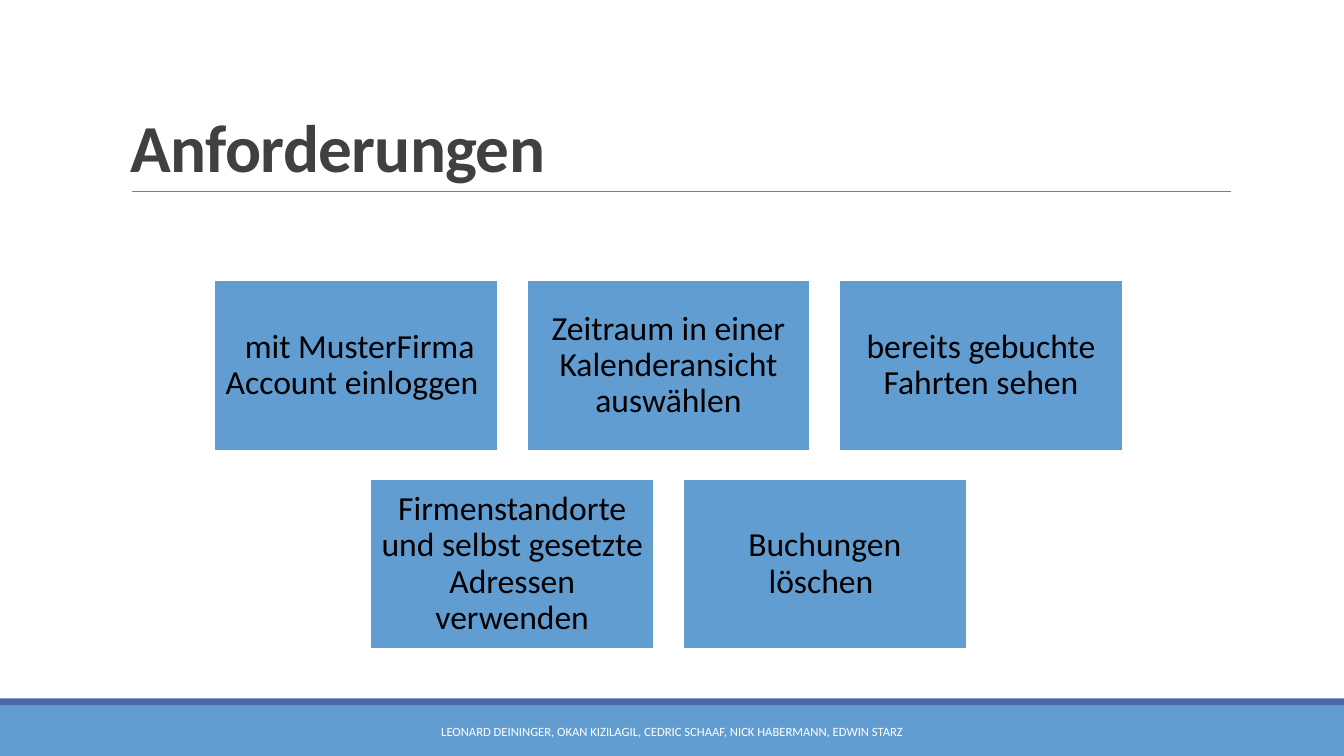
from lxml.etree import SubElement
from pptx import Presentation
from pptx.dml.color import RGBColor
from pptx.enum.shapes import MSO_CONNECTOR, MSO_SHAPE
from pptx.enum.text import MSO_ANCHOR, PP_ALIGN
from pptx.oxml.ns import qn
from pptx.util import Inches, Pt

BLUE = RGBColor(0x62, 0x9D, 0xD1)
INDIGO = RGBColor(0x4A, 0x66, 0xAC)
GRAY = RGBColor(0x80, 0x80, 0x80)
DARK = RGBColor(0x40, 0x40, 0x40)
WHITE = RGBColor(0xFF, 0xFF, 0xFF)
BLACK = RGBColor(0x00, 0x00, 0x00)

CARD_W, CARD_H = 2.81, 1.69
CARD_GAP_X, CARD_GAP_Y = 0.29, 0.28
CARDS_CENTER, CARDS_TOP = 6.63, 2.78
REQUIREMENTS = [
    [" mit MusterFirma Account einloggen ",
     "Zeitraum in einer Kalenderansicht auswählen",
     "bereits gebuchte Fahrten sehen"],
    ["Firmenstandorte und selbst gesetzte Adressen verwenden",
     "Buchungen löschen "],
]
AUTHORS = ("LEONARD DEININGER, OKAN KIZILAGIL, CEDRIC SCHAAF, "
           "NICK HABERMANN, EDWIN STARZ")


def add_rect(slide, left, top, width, height, fill):
    sp = slide.shapes.add_shape(MSO_SHAPE.RECTANGLE, Inches(left), Inches(top),
                                Inches(width), Inches(height))
    sp.shadow.inherit = False
    sp.fill.solid()
    sp.fill.fore_color.rgb = fill
    sp.line.fill.background()
    return sp


def add_rule(slide, left, right, y):
    line = slide.shapes.add_connector(MSO_CONNECTOR.STRAIGHT, Inches(left), Inches(y),
                                      Inches(right), Inches(y))
    line.line.color.rgb = GRAY
    line.line.width = Pt(0.5)
    SubElement(line._element.spPr, qn("a:effectLst"))


def set_text(sp, text, size, color, anchor, align, line_spacing=1.0):
    """Fill a shape with one wrapped paragraph and return its run."""
    tf = sp.text_frame
    tf.word_wrap = True
    tf.vertical_anchor = anchor
    tf.text = text
    p = tf.paragraphs[0]
    p.alignment = align
    p.line_spacing = line_spacing
    r = p.runs[0]
    r.font.name = "Calibri"
    r.font.size = Pt(size)
    r.font.color.rgb = color
    return r


def add_title(slide, text):
    box = slide.shapes.add_textbox(Inches(1.2), Inches(0.31), Inches(11), Inches(1.59))
    r = set_text(box, text, 48, DARK, MSO_ANCHOR.BOTTOM, PP_ALIGN.LEFT, 0.85)
    r.font.bold = True
    r.font._element.set("spc", "-50")


def add_footer(slide, text):
    add_rect(slide, 0, 7, 13.33, 0.5, BLUE)
    add_rect(slide, 0, 6.93, 13.33, 0.07, INDIGO)
    box = slide.shapes.add_textbox(Inches(4.03), Inches(7.06), Inches(5.27), Inches(0.4))
    set_text(box, text, 9, WHITE, MSO_ANCHOR.MIDDLE, PP_ALIGN.CENTER)


def add_card(slide, left, top, text):
    card = add_rect(slide, left, top, CARD_W, CARD_H, BLUE)
    card.line.color.rgb = WHITE
    card.line.width = Pt(1.25)
    tf = card.text_frame
    tf.margin_left = tf.margin_right = tf.margin_top = tf.margin_bottom = Inches(0.1)
    set_text(card, text, 24, BLACK, MSO_ANCHOR.MIDDLE, PP_ALIGN.CENTER, 0.9)


def add_card_rows(slide, rows):
    """Place each row of cards centred on the same axis."""
    for i, row in enumerate(rows):
        row_width = len(row) * (CARD_W + CARD_GAP_X) - CARD_GAP_X
        left = CARDS_CENTER - row_width / 2
        top = CARDS_TOP + i * (CARD_H + CARD_GAP_Y)
        for j, text in enumerate(row):
            add_card(slide, left + j * (CARD_W + CARD_GAP_X), top, text)


def main():
    prs = Presentation()
    prs.slide_width, prs.slide_height = Inches(13.33), Inches(7.5)
    slide = prs.slides.add_slide(prs.slide_layouts[6])
    add_footer(slide, AUTHORS)
    add_rule(slide, 1.31, 12.21, 1.9)
    add_title(slide, "Anforderungen")
    add_card_rows(slide, REQUIREMENTS)
    prs.save("out.pptx")


if __name__ == "__main__":
    main()
